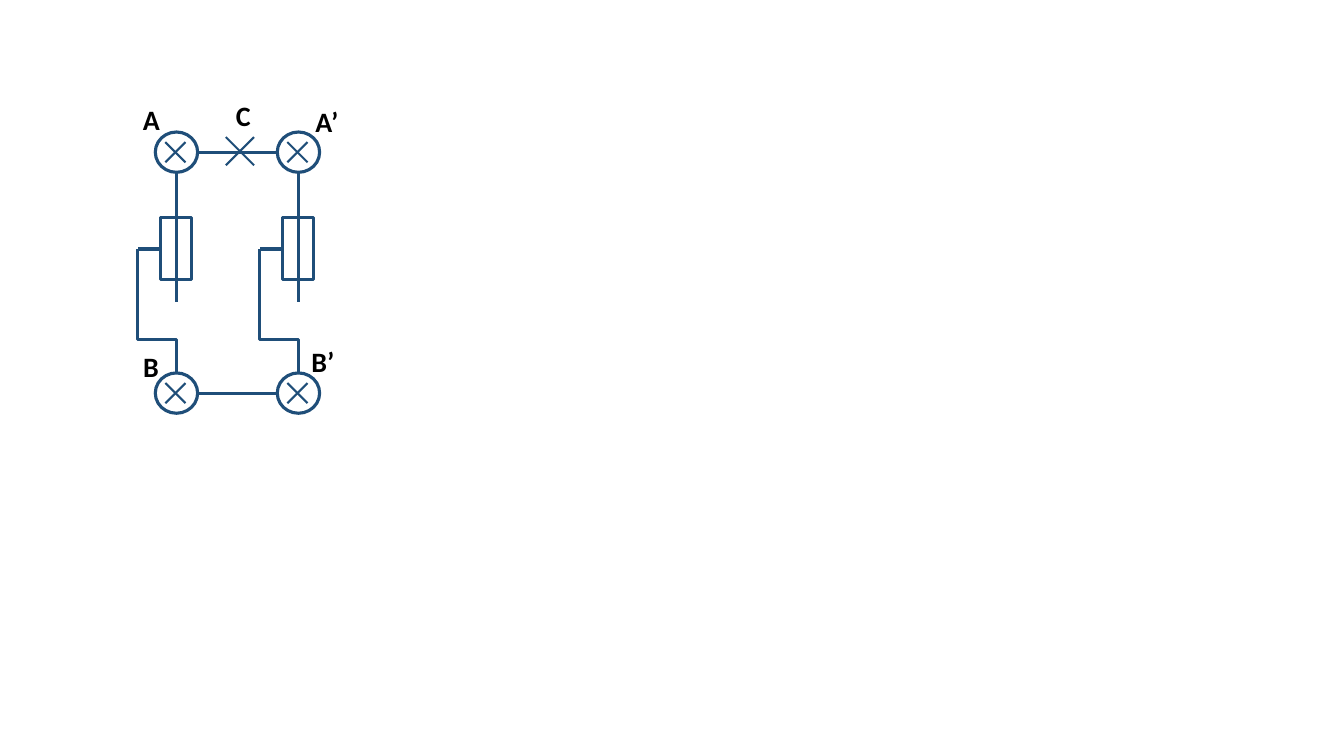
from lxml.etree import SubElement
from pptx import Presentation
from pptx.dml.color import RGBColor
from pptx.enum.shapes import MSO_CONNECTOR as CONN, MSO_SHAPE as SHAPE
from pptx.enum.text import MSO_AUTO_SIZE as AUTO
from pptx.oxml.ns import qn
from pptx.util import Emu, Pt

EMU_PER_PX = 9144
BLUE = "1F4E79"
BRANCH_X = (154, 275)
LAMP_TOPS = (131, 370)
LAMP_W, LAMP_H = 42, 40
LABELS = (
    ("A", 132, 97, 37),
    ("A’", 303, 99, 46),
    ("B", 132, 342, 35),
    ("B’", 299, 337, 46),
    ("C", 224, 93, 34),
)


def px(*values):
    return [Emu(v * EMU_PER_PX) for v in values]


def color(hex_string):
    return RGBColor.from_string(hex_string)


def set_line(sp, width):
    sp.line.color.rgb = color(BLUE)
    sp.line.width = Pt(width)


def add_outline(slide, kind, x, y, w, h):
    sp = slide.shapes.add_shape(kind, *px(x, y, w, h))
    sp.shadow.inherit = False
    sp.fill.background()
    set_line(sp, 2.25)


def add_line(slide, x1, y1, x2, y2, width=2.25, kind=CONN.STRAIGHT):
    sp = slide.shapes.add_connector(kind, *px(x1, y1, x2, y2))
    set_line(sp, width)
    SubElement(sp._element.spPr, qn("a:effectLst"))
    return sp


def add_elbow(slide, x1, y1, x2, y2, bend):
    w, h = x2 - x1, y2 - y1
    left = x1 + (w - h) // 2
    top = y1 + (h - w) // 2
    sp = add_line(slide, left, top, left + h, top + w, kind=CONN.ELBOW)
    spPr = sp._element.spPr
    xfrm = spPr.find(qn("a:xfrm"))
    xfrm.set("rot", "16200000")
    xfrm.set("flipH", "1")
    guides = spPr.find(qn("a:prstGeom")).find(qn("a:avLst"))
    SubElement(guides, qn("a:gd"), name="adj1", fmla=f"val {round(bend * 100000)}")


def add_cross(slide, x, y, size):
    add_line(slide, x, y, x + size, y + size, 1.5)
    add_line(slide, x + size, y, x, y + size, 1.5)


def add_lamp(slide, x, y):
    add_outline(slide, SHAPE.OVAL, x, y, LAMP_W, LAMP_H)
    add_cross(slide, x + 10, y + 10, 20)


def add_branch(slide, x):
    for top in LAMP_TOPS:
        add_lamp(slide, x, top)
    add_outline(slide, SHAPE.RECTANGLE, x + 5, 216, 31, 61)
    add_line(slide, x + 21, 172, x + 21, 300)
    add_elbow(slide, x - 18, 247, x + 21, 370, 0.73)
    add_line(slide, x + 5, 247, x - 17, 247)


def add_label(slide, text, x, y, w):
    tf = slide.shapes.add_textbox(*px(x, y, w, 43)).text_frame
    tf.word_wrap = False
    tf.auto_size = AUTO.SHAPE_TO_FIT_TEXT
    tf.text = text
    font = tf.paragraphs[0].runs[0].font
    font.name = "Calibri"
    font.size = Pt(20)
    font.bold = True
    font.color.rgb = color("000000")


def main():
    prs = Presentation()
    prs.slide_width, prs.slide_height = px(1333, 750)
    slide = prs.slides.add_slide(prs.slide_layouts[6])
    for x in BRANCH_X:
        add_branch(slide, x)
    left, right = BRANCH_X
    for top in LAMP_TOPS:
        y = top + LAMP_H // 2
        add_line(slide, right, y, left + LAMP_W, y)
    add_cross(slide, 224, 136, 28)
    for label in LABELS:
        add_label(slide, *label)
    prs.save("out.pptx")


if __name__ == "__main__":
    main()
